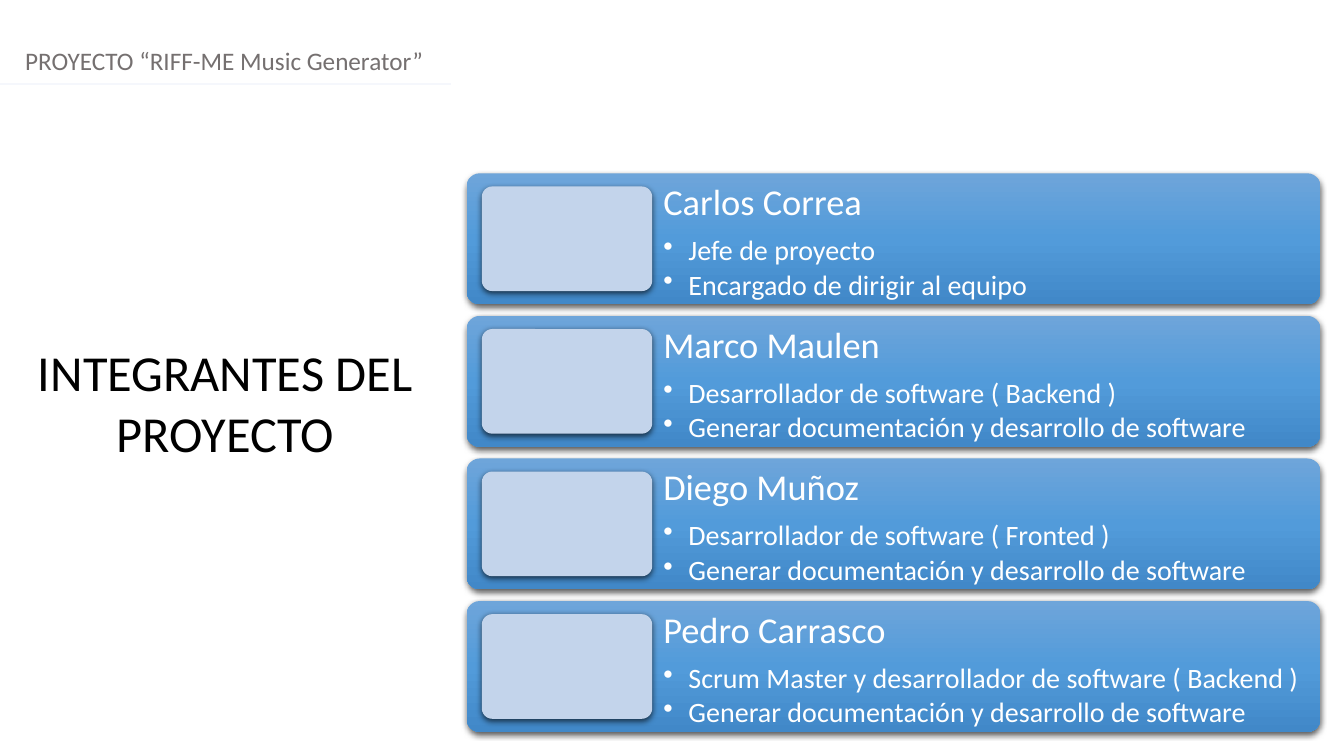
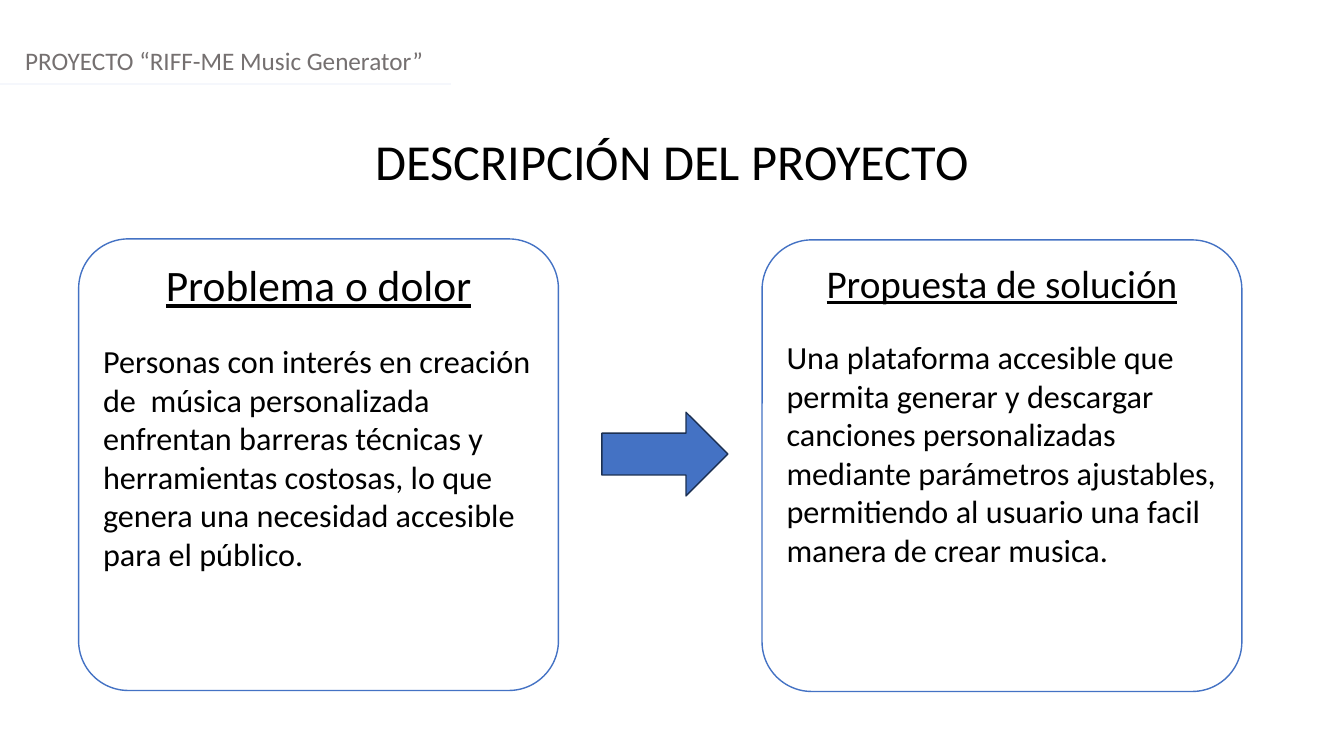
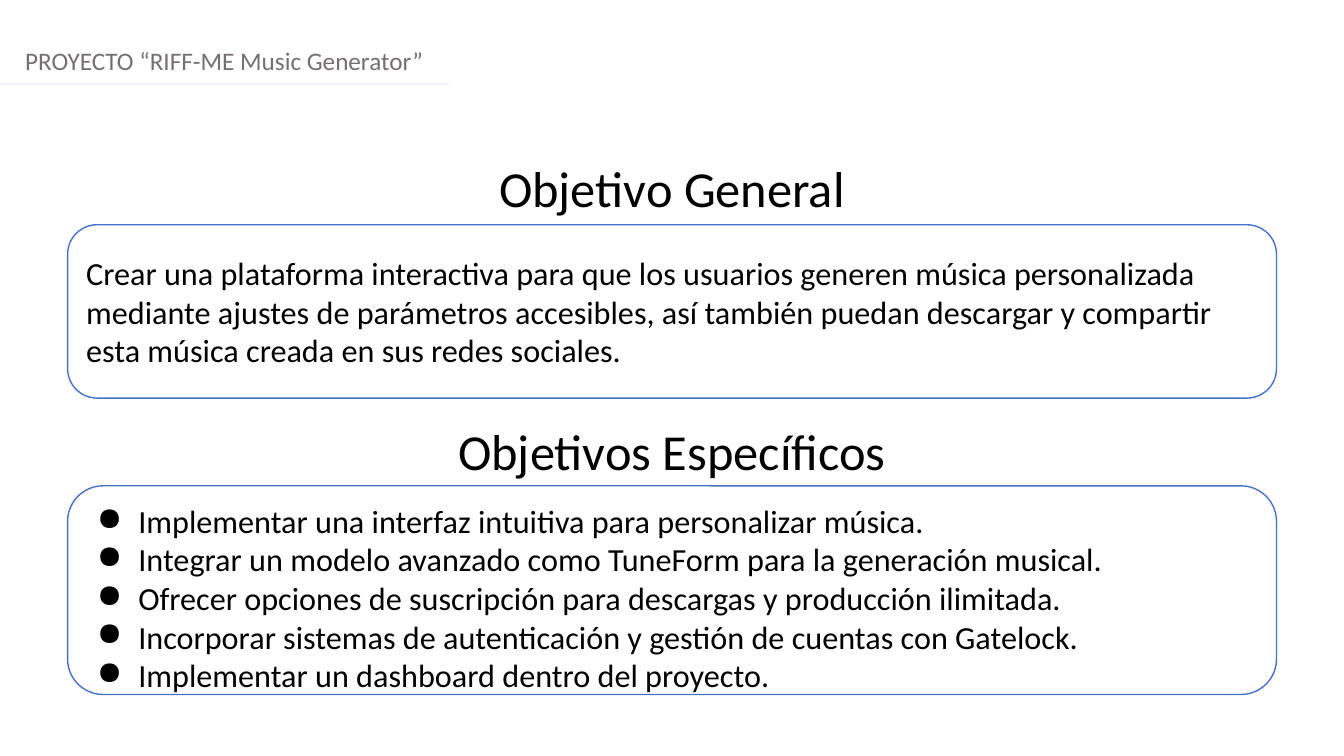
from lxml.etree import SubElement
from pptx import Presentation
from pptx.dml.color import RGBColor
from pptx.enum.shapes import MSO_CONNECTOR, MSO_SHAPE
from pptx.enum.text import MSO_ANCHOR, PP_ALIGN
from pptx.oxml.ns import qn
from pptx.util import Inches, Pt

COLORS = {
    "page": "FFFFFF", "ink": "000000", "header": "757070", "rule": "F5F7FC",
    "accent": "4472C4", "arrow_edge": "1C3052", "photo": "C3D4EB",
    "card_top": "6EA5DA", "card_middle": "529BDA", "card_bottom": "4188C8",
}
FONT = "Calibri"

prs = Presentation()
prs.slide_width, prs.slide_height = Inches(13.33), Inches(7.5)
COLUMN, ROW = prs.slide_width / 100, prs.slide_height / 100


def add_box(slide, area, kind=None, fill=None, line=None, corner=None, raised=False):
    left, top, width, height = area
    place = [int(v) for v in (left * COLUMN, top * ROW, width * COLUMN, height * ROW)]
    if kind is None:
        box = slide.shapes.add_textbox(*place)
        box.text_frame.word_wrap = True
        return box
    box = slide.shapes.add_shape(kind, *place)
    box.shadow.inherit = False
    if corner:
        box.adjustments[0] = corner
    if fill:
        box.fill.solid()
        box.fill.fore_color.rgb = RGBColor.from_string(COLORS[fill])
    if line:
        box.line.color.rgb = RGBColor.from_string(COLORS[line])
        box.line.width = Pt(1)
    else:
        box.line.fill.background()
    if raised:
        effects = box._element.spPr.find(qn("a:effectLst"))
        shadow = SubElement(effects, qn("a:outerShdw"), blurRad=str(Pt(4.5)),
                            dist=str(Pt(1.5)), dir="5400000", rotWithShape="0")
        black = SubElement(shadow, qn("a:srgbClr"), val="000000")
        SubElement(black, qn("a:alpha"), val="63000")
    return box


def write(box, text, size, color="ink", align=PP_ALIGN.LEFT, bullet=None, hang=0,
          indent=0, before=0, spacing=None, underline=False):
    frame = box.text_frame
    paragraph = frame.add_paragraph() if frame.text else frame.paragraphs[0]
    paragraph.text = text
    paragraph.alignment = align
    if bullet:
        props = paragraph._p.get_or_add_pPr()
        props.set("marL", str(Inches(indent)))
        props.set("indent", str(-Inches(hang)))
        SubElement(SubElement(props, qn("a:buClr")), qn("a:srgbClr"), val=COLORS[color])
        SubElement(props, qn("a:buChar"), char=bullet)
    paragraph.space_before = Pt(before)
    if spacing:
        paragraph.line_spacing = spacing
    paragraph.font.name = FONT
    paragraph.font.size = Pt(size)
    paragraph.font.underline = underline
    paragraph.font.color.rgb = RGBColor.from_string(COLORS[color])


slides = [prs.slides.add_slide(prs.slide_layouts[6]) for _ in range(3)]
team, description, goals = slides

for slide in slides:
    header = add_box(slide, (1.13, 5.33, 97, 5.33))
    write(header, "PROYECTO “RIFF-ME Music Generator”", 18, "header")
    rule_y = int(11.07 * ROW)
    rule = slide.shapes.add_connector(
        MSO_CONNECTOR.STRAIGHT, 0, rule_y, int(33.53 * COLUMN), rule_y)
    rule.line.color.rgb = RGBColor.from_string(COLORS["rule"])
    rule.line.width = Pt(1.25)
    SubElement(rule._element.spPr, qn("a:effectLst"))

for slide, title, area in [
    (team, "INTEGRANTES DEL PROYECTO", (1.95, 44.53, 29.63, 17.47)),
    (description, "DESCRIPCIÓN DEL PROYECTO", (0, 16.53, 100, 9.47)),
    (goals, "Objetivo General", (0, 20.13, 100, 9.47)),
    (goals, "Objetivos Específicos", (0, 54.93, 100, 9.47)),
]:
    write(add_box(slide, area), title, 36, align=PP_ALIGN.CENTER)

DOCUMENTATION = "Generar documentación y desarrollo de software"
members = [
    ("Carlos Correa", "Jefe de proyecto", "Encargado de dirigir al equipo"),
    ("Marco Maulen", "Desarrollador de software ( Backend )", DOCUMENTATION),
    ("Diego Muñoz", "Desarrollador de software ( Fronted )", DOCUMENTATION),
    ("Pedro Carrasco", "Scrum Master y desarrollador de software ( Backend )", DOCUMENTATION),
]
CARD_HEIGHT, CARD_PITCH, PHOTO_INSET = 17.3, 18.86, 1.73
for index, (name, role, duty) in enumerate(members):
    top = 22.93 + index * CARD_PITCH
    card = add_box(team, (34.72, top, 63.53, CARD_HEIGHT),
                   MSO_SHAPE.ROUNDED_RECTANGLE, corner=0.1, raised=True)
    card.fill.gradient()
    card.fill.gradient_angle = 270
    stops = card._element.spPr.find(".//" + qn("a:gsLst"))
    stops.clear()
    for position, shade in enumerate(("card_top", "card_middle", "card_bottom")):
        stop = SubElement(stops, qn("a:gs"), pos=str(position * 50000))
        SubElement(stop, qn("a:srgbClr"), val=COLORS[shade])
    profile = add_box(team, (48.53, top, 49.72, CARD_HEIGHT))
    frame = profile.text_frame
    frame.margin_left = frame.margin_right = Inches(0.11)
    frame.margin_top = frame.margin_bottom = Inches(0.11)
    write(profile, name, 26, "page", spacing=0.9)
    for text, gap in ((role, 9.1), (duty, 3)):
        write(profile, text, 20, "page", bullet="•", indent=0.25, hang=0.25,
              before=gap, spacing=0.9)
    add_box(team, (35.85, top + PHOTO_INSET, 12.68, CARD_HEIGHT - 2 * PHOTO_INSET),
            MSO_SHAPE.ROUNDED_RECTANGLE, "photo", corner=0.1, raised=True)

for left, top, heading, size, body in [
    (5.85, 31.6, "Problema o dolor", 31,
     "Personas con interés en creación de  música personalizada enfrentan barreras "
     "técnicas y herramientas costosas, lo que genera una necesidad accesible para el público."),
    (56.7, 31.73, "Propuesta de solución", 28,
     "Una plataforma accesible que permita generar y descargar canciones personalizadas "
     "mediante parámetros ajustables, permitiendo al usuario una facil manera de crear musica."),
]:
    panel = add_box(description, (left, top, 35.7, 59.73), MSO_SHAPE.ROUNDED_RECTANGLE,
                    "page", "accent", 0.11)
    panel.text_frame.vertical_anchor = MSO_ANCHOR.TOP
    write(panel, heading, size, align=PP_ALIGN.CENTER, underline=True)
    write(panel, body, 23, before=22)
add_box(description, (44.78, 54.53, 9.38, 11.07), MSO_SHAPE.RIGHT_ARROW,
        "accent", "arrow_edge")

general, specific = [
    add_box(goals, (5.03, top, 89.95, height), MSO_SHAPE.ROUNDED_RECTANGLE,
            "page", "accent", 0.17)
    for top, height in ((29.73, 22.93), (64.27, 27.6))
]
general.text_frame.vertical_anchor = MSO_ANCHOR.MIDDLE
write(general, "Crear una plataforma interactiva para que los usuarios generen música "
      "personalizada mediante ajustes de parámetros accesibles, así también puedan "
      "descargar y compartir esta música creada en sus redes sociales.", 23)
specific.text_frame.vertical_anchor = MSO_ANCHOR.TOP
for goal in [
    "Implementar una interfaz intuitiva para personalizar música.",
    "Integrar un modelo avanzado como TuneForm para la generación musical.",
    "Ofrecer opciones de suscripción para descargas y producción ilimitada.",
    "Incorporar sistemas de autenticación y gestión de cuentas con Gatelock.",
    "Implementar un dashboard dentro del proyecto.",
]:
    write(specific, goal, 23, bullet="●", indent=0.5, hang=0.41)

prs.save("out.pptx")
